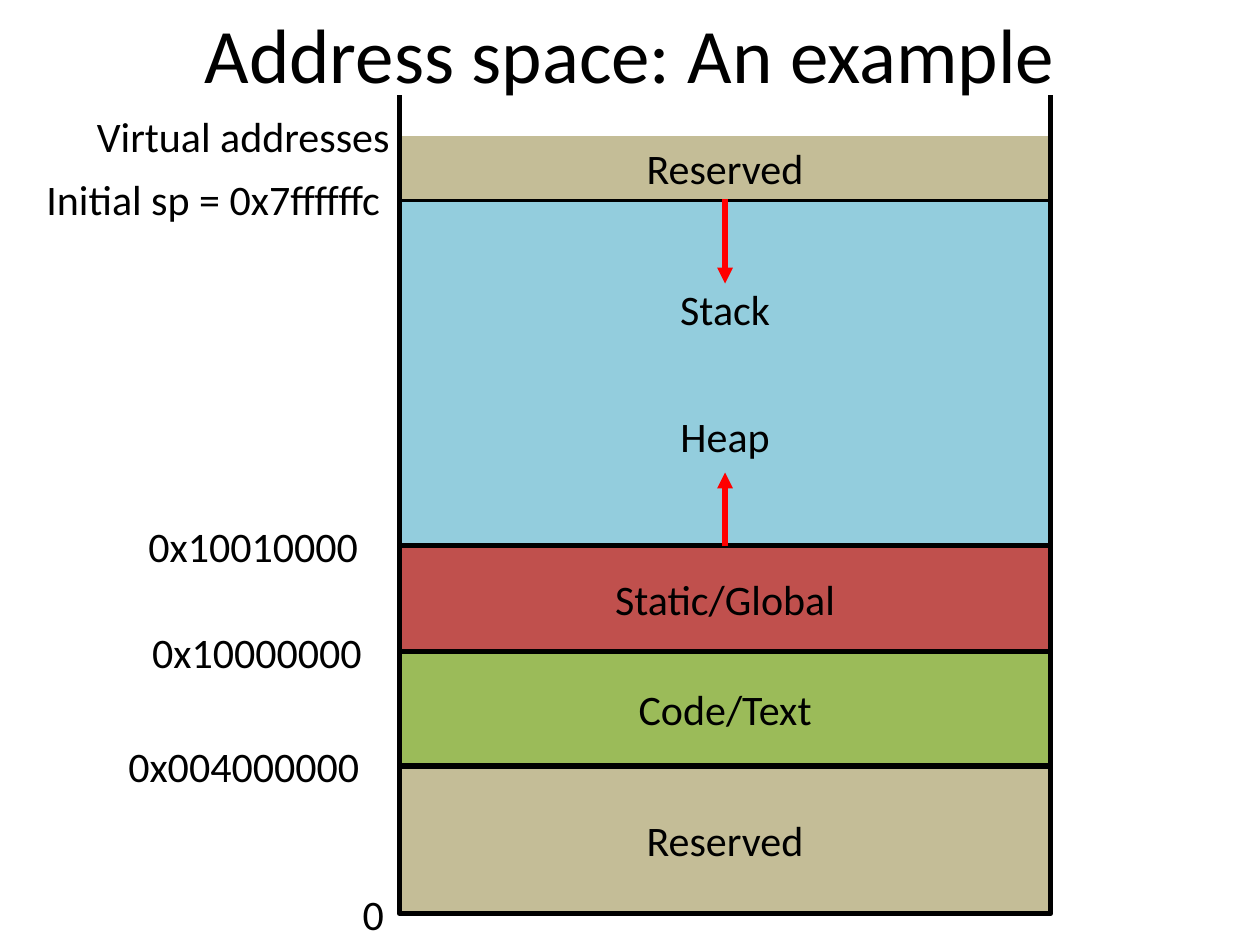
from pptx import Presentation
from pptx.dml.color import RGBColor
from pptx.enum.shapes import MSO_CONNECTOR as Link, MSO_SHAPE as Kind
from pptx.enum.text import MSO_ANCHOR as Anchor, PP_ALIGN as Align
from pptx.oxml.ns import qn
from pptx.util import Inches, Pt
from lxml.etree import SubElement

THEME = {
    "font": "Calibri", "title": 44, "body": 24, "rule": 3, "gap": 44,
    "ink": "000000", "arrow": "FF0000",
    "free": "93CDDD", "data": "C0504D", "code": "9BBB59", "held": "C4BD97",
}
TITLE = "Address space: An example"
LEFT, WIDE = 3.17, 5.17
RIGHT, MID = LEFT + WIDE, LEFT + WIDE / 2
EDGES = [1.08, 1.58, 4.33, 5.17, 6.08, 7.25]
BANDS = [
    (1, ["Stack", "Heap"], "free", True),
    (2, ["Static/Global"], "data", True),
    (3, ["Code/Text"], "code", True),
    (4, ["Reserved"], "held", True),
    (0, ["Reserved"], "held", False),
]
ARROWS = [(1, 2.25), (2, 3.75)]
LABELS = [
    (0, "Virtual addresses", 0.67, 2.55),
    (1, "Initial sp = 0x7ffffffc", 0.27, 2.9),
    (2, "0x10010000", 1.08, 2.06),
    (3, "0x10000000", 1.11, 2.06),
    (4, "0x004000000", 0.92, 2.25),
    (5, "0", 2.78, 0.39),
]
TALL = 0.5


def color(key):
    return RGBColor.from_string(THEME[key])


def style(par, size, align):
    par.alignment = align
    for run in par.runs:
        run.font.name = THEME["font"]
        run.font.size = Pt(THEME[size])
        run.font.color.rgb = color("ink")


def ink(line, key):
    line.color.rgb = color(key)
    line.width = Pt(THEME["rule"])


def band(slide, row, words, fill, edged):
    top, end = EDGES[row:row + 2]
    box = slide.shapes.add_shape(Kind.RECTANGLE, Inches(LEFT), Inches(top),
                                 Inches(WIDE), Inches(end - top))
    box.shadow.inherit = False
    box.fill.solid()
    box.fill.fore_color.rgb = color(fill)
    if edged:
        ink(box.line, "ink")
    else:
        box.line.fill.background()
    frame = box.text_frame
    frame.vertical_anchor = Anchor.MIDDLE
    frame.text = "\n".join(words)
    for par in frame.paragraphs:
        style(par, "body", Align.CENTER)
    for par in frame.paragraphs[1:]:
        par.space_before = Pt(THEME["gap"])
    return box


def rule(slide, x, start, end, key):
    line = slide.shapes.add_connector(Link.STRAIGHT, Inches(x), Inches(start),
                                      Inches(x), Inches(end))
    ink(line.line, key)
    SubElement(line._element.spPr, qn("a:effectLst"))
    return line


def label(slide, row, words, left, wide):
    box = slide.shapes.add_textbox(Inches(left), Inches(EDGES[row] - TALL / 2),
                                   Inches(wide), Inches(TALL))
    box.text_frame.word_wrap = False
    box.text_frame.text = words
    style(box.text_frame.paragraphs[0], "body", Align.LEFT)


def main():
    deck = Presentation()
    deck.slide_width, deck.slide_height = Inches(10), Inches(7.5)
    slide = deck.slides.add_slide(deck.slide_layouts[5])

    title = slide.shapes.title
    title.left, title.top = Inches(0), Inches(0)
    title.width, title.height = Inches(10), Inches(0.83)
    title.text_frame.text = TITLE
    title.text_frame.vertical_anchor = Anchor.MIDDLE
    style(title.text_frame.paragraphs[0], "title", Align.CENTER)

    boxes = {item[0]: band(slide, *item) for item in BANDS}
    for row, tip in ARROWS:
        line = rule(slide, MID, EDGES[row], tip, "arrow")
        line.begin_connect(boxes[row], 0)
        SubElement(line.line._get_or_add_ln(), qn("a:tailEnd"), type="triangle")
    for item in LABELS:
        label(slide, *item)
    for x in (RIGHT, LEFT):
        rule(slide, x, EDGES[1], 0.75, "ink")

    deck.save("out.pptx")


if __name__ == "__main__":
    main()
